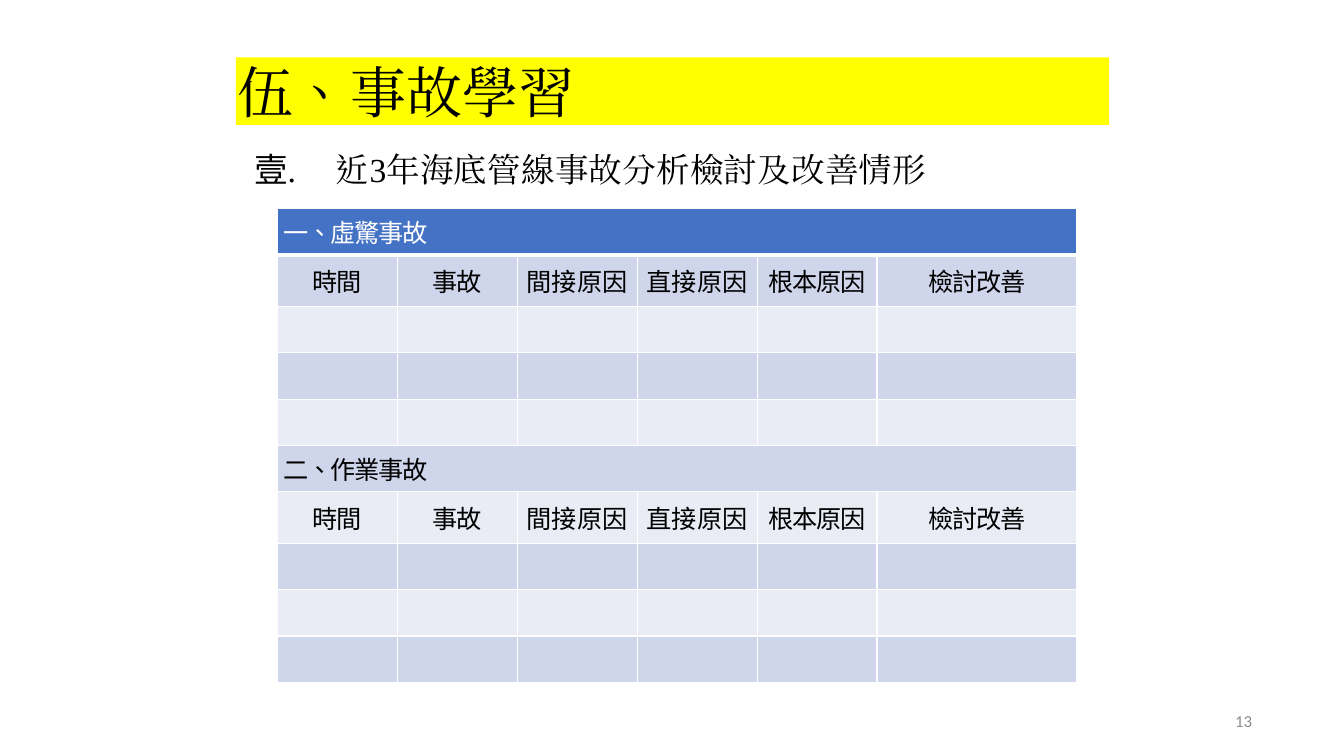
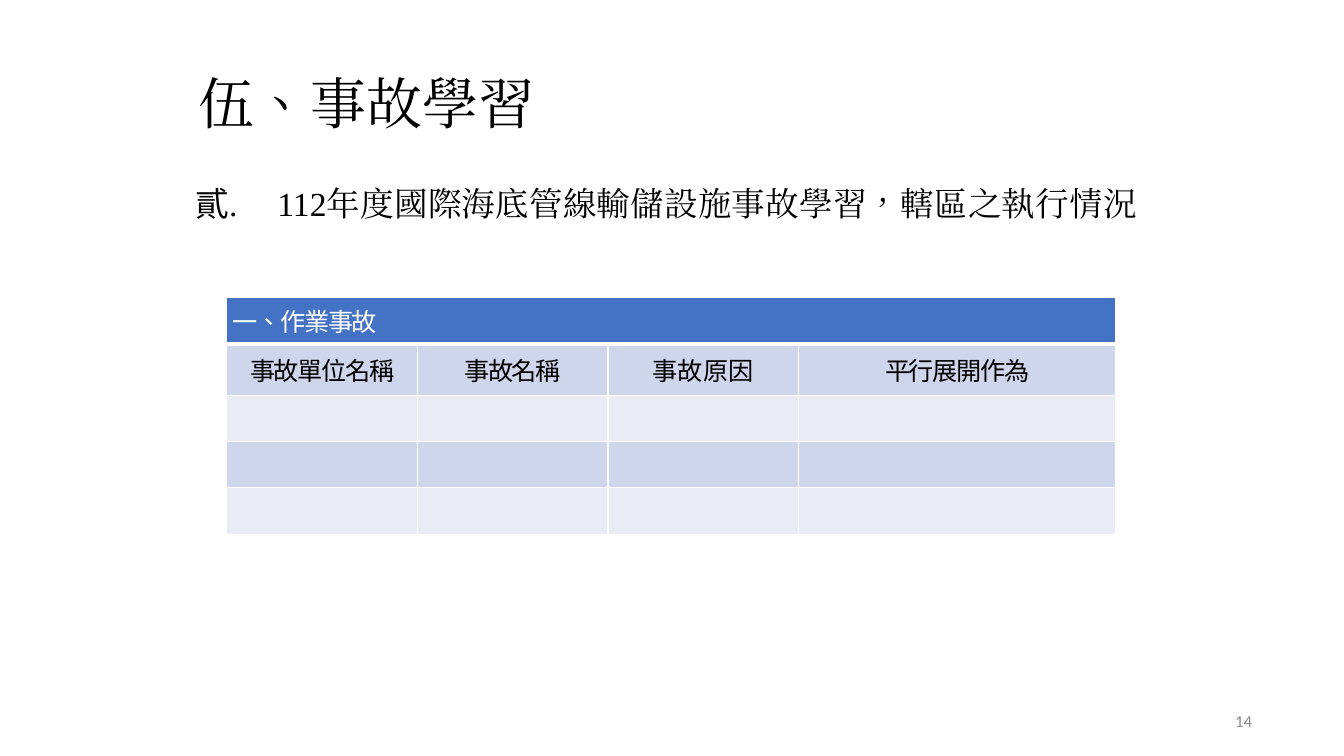
from dataclasses import dataclass

from lxml import etree
from pptx import Presentation
from pptx.dml.color import RGBColor
from pptx.enum.text import MSO_ANCHOR, PP_ALIGN
from pptx.oxml.ns import qn
from pptx.util import Inches, Pt

LEFT, CENTER, RIGHT = PP_ALIGN.LEFT, PP_ALIGN.CENTER, PP_ALIGN.RIGHT
TOP, MIDDLE = MSO_ANCHOR.TOP, MSO_ANCHOR.MIDDLE

COLORS = {
    "black": "000000",
    "white": "FFFFFF",
    "gray": "8C8C8C",
    "yellow": "FFFF00",
    "header": "4472C4",
    "band_dark": "CFD5EA",
    "band_light": "E9EBF5",
}
SERIF, SANS, NUMBER_FONT = "Times New Roman", "Noto Sans CJK SC", "Calibri"
TITLE = "伍、事故學習"
ROW_H, HEADING_H = 0.46, 0.51
BLANK_ROWS = 3


@dataclass(frozen=True)
class Box:
    left: float
    top: float
    width: float
    height: float


@dataclass(frozen=True)
class Column:
    heading: str
    width: float
    spacing: float = -1


@dataclass(frozen=True)
class Page:
    number: int
    title_box: Box
    title_fill: str | None
    topic: str
    topic_number: int
    topic_box: Box
    table_left: float
    table_top: float
    sections: tuple[str, ...]
    columns: tuple[Column, ...]


PAGES = (
    Page(
        13, Box(2.34, 0.57, 8.66, 0.67), "yellow",
        "近3年海底管線事故分析檢討及改善情形", 1, Box(2.5, 1.48, 7.08, 0.4),
        2.75, 2.07, ("一、虛驚事故", "二、作業事故"),
        (
            Column("時間", 1.19), Column("事故", 1.19),
            Column("間接原因", 1.19, 0), Column("直接原因", 1.19, 0),
            Column("根本原因", 1.19), Column("檢討改善", 1.98),
        ),
    ),
    Page(
        14, Box(1.95, 0.68, 9.44, 0.67), None,
        "112年度國際海底管線輸儲設施事故學習，轄區之執行情況", 2, Box(1.92, 1.81, 9.91, 0.4),
        2.25, 2.95, ("一、作業事故",),
        (
            Column("事故單位名稱", 1.89), Column("事故名稱", 1.89),
            Column("事故原因", 1.89, 0), Column("平行展開作為", 3.15),
        ),
    ),
)


def rgb(name: str) -> RGBColor:
    """Return the palette colour with this name."""
    return RGBColor.from_string(COLORS[name])


def write(tf, text: str, *, size: float, font: str, color: str = "black", align=LEFT,
          spacing: float = 0, margin: float = 0, indent: float = 0,
          number: int | None = None) -> None:
    """Write one formatted paragraph, numbered if a number is given."""
    p = tf.paragraphs[0]
    p.alignment = align
    pPr = p._p.get_or_add_pPr()
    pPr.set("marL", str(Inches(margin)))
    pPr.set("indent", str(Inches(indent)))
    if number is not None:
        bullet = etree.SubElement(pPr, qn("a:buAutoNum"), type="ea1ChtPeriod")
        if number > 1:
            bullet.set("startAt", str(number))
    r = p.add_run()
    r.text = text
    r.font.size = Pt(size)
    r.font.color.rgb = rgb(color)
    r.font.name = font
    rPr = r._r.get_or_add_rPr()
    rPr.set("lang", "zh-TW")
    rPr.set("spc", str(round(spacing * 100)))
    etree.SubElement(rPr, qn("a:ea"), typeface=font)


def add_text(s, box: Box, text: str, *, anchor=MIDDLE, fill: str | None = None, **fmt) -> None:
    """Add a wrapping text box without insets."""
    sp = s.shapes.add_textbox(*map(Inches, (box.left, box.top, box.width, box.height)))
    if fill:
        sp.fill.solid()
        sp.fill.fore_color.rgb = rgb(fill)
    tf = sp.text_frame
    tf.word_wrap = True
    tf.vertical_anchor = anchor
    tf.margin_left = tf.margin_right = tf.margin_top = tf.margin_bottom = 0
    write(tf, text, **fmt)


def style_cell(cell, fill: str, bottom: float) -> None:
    """Set the insets, white borders and fill of a cell."""
    cell.vertical_anchor = MIDDLE
    cell.margin_left = cell.margin_right = Inches(0.06)
    cell.margin_top = cell.margin_bottom = Inches(0.03)
    tcPr = cell._tc.get_or_add_tcPr()
    for side, width in (("L", 1), ("R", 1), ("T", 1), ("B", bottom)):
        ln = etree.SubElement(tcPr, qn(f"a:ln{side}"), w=str(Pt(width)))
        solid = etree.SubElement(ln, qn("a:solidFill"))
        etree.SubElement(solid, qn("a:srgbClr"), val=COLORS["white"])
    cell.fill.solid()
    cell.fill.fore_color.rgb = rgb(fill)


def add_incident_table(s, page: Page) -> None:
    """Add the banded table: per section a title, headings and blank rows."""
    heights = [ROW_H, HEADING_H, *[ROW_H] * BLANK_ROWS] * len(page.sections)
    widths = [column.width for column in page.columns]
    frame = s.shapes.add_table(
        len(heights), len(widths), Inches(page.table_left), Inches(page.table_top),
        Inches(sum(widths)), Inches(sum(heights)))
    table = frame.table
    table.first_row = table.horz_banding = False
    for column, width in zip(table.columns, widths):
        column.width = Inches(width)
    for i, (row, height) in enumerate(zip(table.rows, heights)):
        row.height = Inches(height)
        fill = "header" if i == 0 else "band_dark" if i % 2 else "band_light"
        for cell in row.cells:
            style_cell(cell, fill, 1 if i else 3)
    for i, section in enumerate(page.sections):
        top = i * (BLANK_ROWS + 2)
        title = table.cell(top, 0)
        title.merge(table.cell(top, len(widths) - 1))
        write(title.text_frame, section, size=18, font=SANS, spacing=-1,
              color="black" if i else "white")
        for j, column in enumerate(page.columns):
            write(table.cell(top + 1, j).text_frame, column.heading, size=18, font=SANS,
                  align=CENTER, spacing=column.spacing)


def add_page(prs, page: Page) -> None:
    """Add one slide with title, page number, table and topic."""
    s = prs.slides.add_slide(prs.slide_layouts[6])
    add_text(s, page.title_box, TITLE, fill=page.title_fill, size=40, font=SERIF,
             spacing=0.1, margin=0.02)
    add_text(s, Box(9.42, 6.95, 3, 0.4), str(page.number), size=12, font=NUMBER_FONT,
             color="gray", align=RIGHT)
    add_incident_table(s, page)
    add_text(s, page.topic_box, page.topic, anchor=TOP, size=24, font=SERIF, spacing=0.1,
             margin=0.83, indent=-0.81, number=page.topic_number)


def main() -> None:
    """Build and save the presentation."""
    prs = Presentation()
    prs.slide_width, prs.slide_height = Inches(13.33), Inches(7.5)
    for page in PAGES:
        add_page(prs, page)
    prs.save("out.pptx")


if __name__ == "__main__":
    main()
